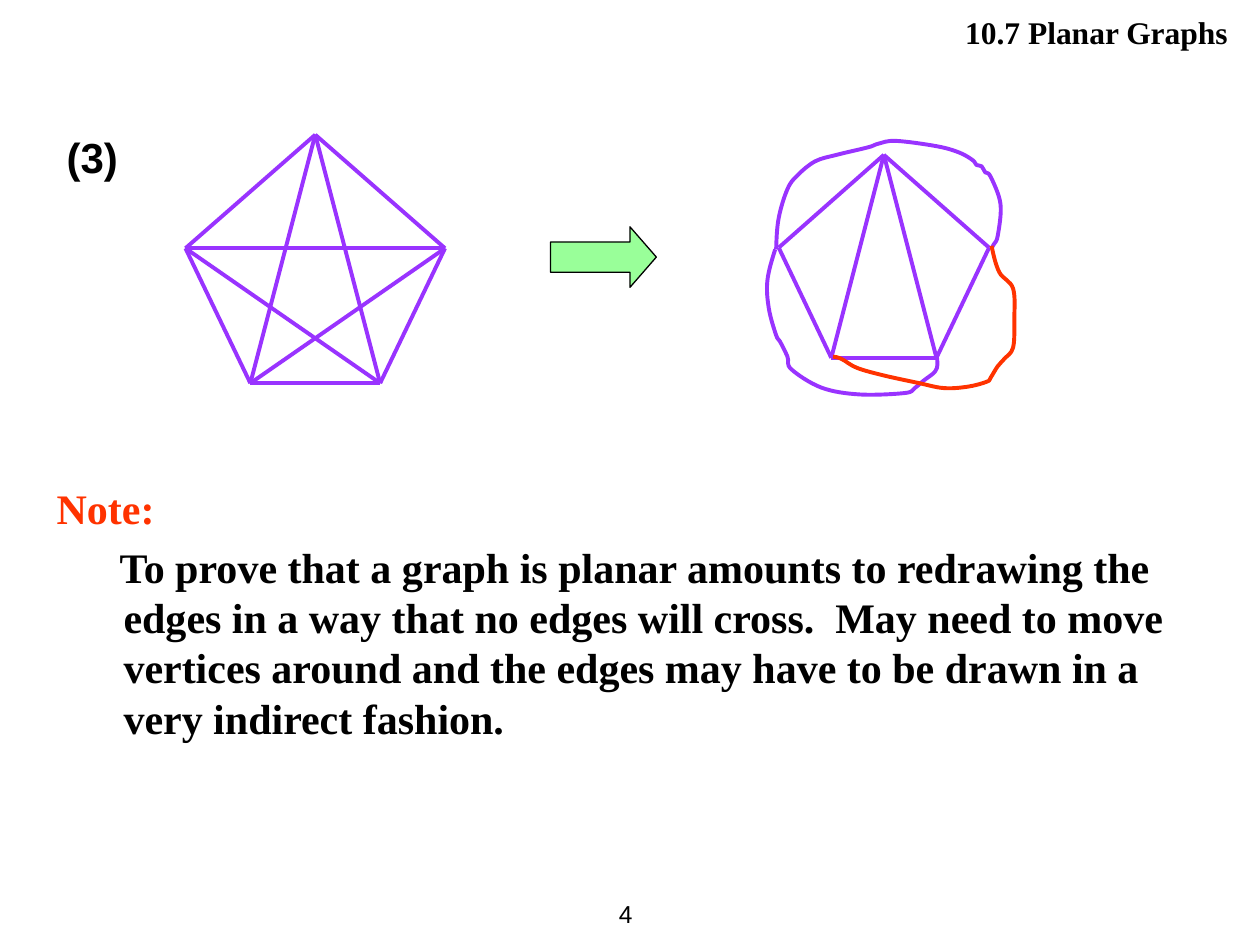
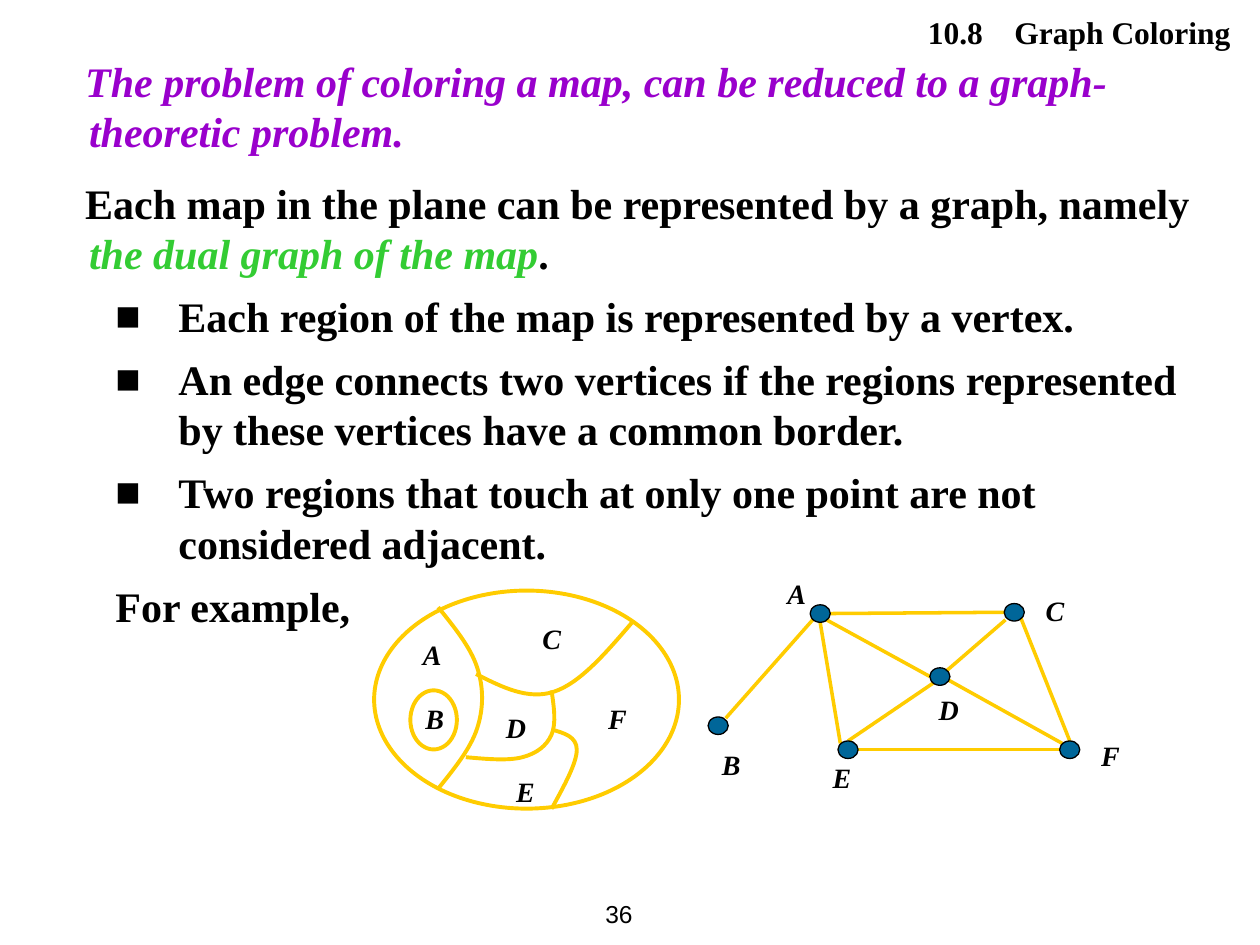
from lxml import etree
from pptx import Presentation
from pptx.dml.color import RGBColor
from pptx.enum import shapes, text
from pptx.oxml.ns import qn
from pptx.util import Pt

HUES = {"ink": "000000", "edge": "9933FF", "red": "FF3300", "mint": "99FF99",
        "plum": "9900CC", "leaf": "33CC33", "gold": "FFCC00", "node": "006699"}
SERIF, SANS = "Times New Roman", "Arial"
LEAD = 1.2
KIND = shapes.MSO_SHAPE
ALIGN = text.PP_ALIGN

SIDE = 0.457
CORNERS = [(0.5, 0), (0, SIDE), (1, SIDE), (0.25, 1), (0.75, 1)]
RIM = [(3, 4), (0, 1), (0, 2), (1, 3), (2, 4), (0, 3), (0, 4)]
CROSS = [(1, 2), (1, 4), (2, 3)]
LOOPS = [
    ("edge", [(-1.5, 54), (0, 36), (5, 19.5), (10.8, 11.6), (20.8, 3.7), (33, 0),
              (51, -4.3), (57, -6.4), (67, -8), (90, -5), (103, -1.4), (110.8, 3),
              (113, 5.8), (115.9, 6.5), (118, 10), (121, 12.3), (126.7, 28),
              (125.2, 46), (123, 51), (121, 54)]),
    ("edge", [(-2, 54), (-6.5, 72), (-5.6, 88), (-1.5, 103), (0.7, 106.6),
              (5, 115.3), (7.2, 122.5), (24.4, 133), (46, 136.9), (72, 136.1),
              (77.7, 133.3), (82.8, 129), (89.2, 124), (90.7, 119.6), (90, 113.8)]),
    ("red", [(31, 115.3), (36, 116.7), (44.6, 121.7), (59.7, 126), (79.9, 130.4),
             (94.3, 133.3), (108, 132.5), (118.8, 129.7), (121, 127.5), (125, 121),
             (128.8, 116.7), (133.9, 110.2), (134.6, 94.4), (133.9, 76.4),
             (126, 67), (121.6, 52)]),
]
BORDERS = [
    [(36.6, 9.5), (58.9, 44), (58.9, 78.7), (36.6, 113.2)],
    [(58.2, 47.7), (102.8, 57.8), (147.4, 18.2)],
    [(52.4, 95.2), (84.8, 95.2), (101.4, 82.3), (101.4, 57)],
    [(101.4, 79.4), (115.8, 91), (101.4, 124.7)],
]
LANDS = {"C": (89.1, 13.9), "A": (20.7, 23.2), "B": (22.2, 60), "D": (68.2, 65),
         "E": (74, 101.7), "F": (126.6, 60)}
NODES = [(80.6, 102.4), (64.7, 24.6), (175.6, 23.9), (207.3, 102.4), (6.4, 88.7),
         (133.1, 60.6)]
NAMES = {"C": (186.4, 9.5), "B": (1.4, 97.4), "D": (125.2, 66.4),
         "E": (64.7, 105.3), "F": (218.1, 92.3), "A": (38.8, 0.2)}
LINKS = [(64.7, 29.7, 76.2, 98.8), (129.5, 64.2, 80.6, 97.4),
         (68.3, 28.2, 127.4, 60.6), (133.1, 59.9, 203, 98.8),
         (207.3, 97.4, 179.2, 26.8), (70.5, 24.6, 169.8, 23.9),
         (74.8, 102.4, 209.4, 102.4), (170.6, 28.2, 133.1, 60.6),
         (60.4, 28.2, 10.7, 84.4)]


def tint(hue):
    """Return the colour of a named hue."""
    return RGBColor.from_string(HUES[hue])


def write(para, runs, size, font=SERIF, bold=True):
    """Add (words, hue, italic) runs to a paragraph."""
    para.line_spacing = Pt(size * LEAD)
    for words, hue, slant in runs:
        run = para.add_run()
        run.text = words
        run.font.name, run.font.size = font, Pt(size)
        run.font.bold, run.font.italic = bold, slant
        run.font.color.rgb = tint(hue)


def indent(para, left, first, mark=None):
    """Set the indents and the bullet of a paragraph."""
    props = para._p.get_or_add_pPr()
    props.set("marL", str(Pt(left)))
    props.set("indent", str(Pt(first)))
    if mark:
        etree.SubElement(props, qn("a:buFont")).set("typeface", SANS)
        etree.SubElement(props, qn("a:buChar")).set("char", mark)


def frame(slide, box):
    """Add a wrapping text box and return its frame."""
    body = slide.shapes.add_textbox(*map(Pt, box)).text_frame
    body.word_wrap = True
    return body


def fill(slide, box, paras):
    """Write paragraphs of (runs, left, first, gap, mark) in a box."""
    body = frame(slide, box)
    for i, (runs, left, first, gap, mark) in enumerate(paras):
        para = body.add_paragraph() if i else body.paragraphs[0]
        indent(para, left, first, mark)
        if i:
            para.space_before = Pt(gap)
        write(para, runs, 24)


def head(slide, words, inset, gap=0):
    """Place the section name at the top right, with a gap after its number."""
    title = slide.shapes.title
    title.left, title.top, title.width, title.height = map(Pt, (286.5, 3.6, 427.7, 28.8))
    body = title.text_frame
    body.word_wrap = True
    body.auto_size = text.MSO_AUTO_SIZE.NONE
    body.vertical_anchor = text.MSO_ANCHOR.TOP
    body.margin_left, body.margin_right = Pt(7.2), Pt(inset)
    body.margin_top = body.margin_bottom = Pt(3.6)
    para = body.paragraphs[0]
    para.alignment = ALIGN.RIGHT
    write(para, [(part, "ink", False) for part in words.partition(" ")], 18)
    if gap:
        para.runs[1]._r.get_or_add_rPr().set("spc", str(int(gap * 100)))


def foot(slide, count):
    """Place the page number."""
    body = frame(slide, (320.4, 504, 48.2, 36))
    body.vertical_anchor = text.MSO_ANCHOR.MIDDLE
    para = body.paragraphs[0]
    para.alignment = ALIGN.RIGHT
    write(para, [(count, "ink", False)], 14, SANS, False)


def edge(slide, start, end, hue, width):
    """Draw a straight line between two points."""
    line = slide.shapes.add_connector(shapes.MSO_CONNECTOR.STRAIGHT,
                                      *map(Pt, (*start, *end)))
    line.line.color.rgb, line.line.width = tint(hue), Pt(width)
    etree.SubElement(line._element.spPr, qn("a:effectLst"))


def dress(shape, hue, width, inner=None):
    """Set the outline and the fill of a shape."""
    shape.shadow.inherit = False
    shape.line.color.rgb, shape.line.width = tint(hue), Pt(width)
    if inner:
        shape.fill.solid()
        shape.fill.fore_color.rgb = tint(inner)
    else:
        shape.fill.background()


def form(slide, kind, box, hue, width, inner=None):
    """Add a preset shape."""
    shape = slide.shapes.add_shape(kind, *map(Pt, box))
    dress(shape, hue, width, inner)
    return shape


def mix(a, b, c, part):
    """Return a point moved by a part of the way from b to c."""
    return tuple(p + (r - q) * part for p, q, r in zip(a, b, c))


def smooth(dots):
    """Return the dots with two control points between each pair."""
    curve, last = [dots[0]], len(dots) - 2
    for i, (b, c) in enumerate(zip(dots, dots[1:])):
        one = mix(b, dots[i - 1], c, 1 / 6) if i else None
        two = mix(c, b, dots[i + 2], -1 / 6) if i < last else mix(c, c, one, 0.5)
        curve += [one or mix(b, b, two, 0.5), two, c]
    return curve


def bend(slide, left, top, dots, hue):
    """Draw a curve through dots given from a corner."""
    dots = [(Pt(left + x), Pt(top + y)) for x, y in smooth(dots)]
    maker = slide.shapes.build_freeform(*dots[0])
    maker.add_line_segments(dots[1:], close=False)
    shape = maker.convert_to_shape()
    lines = list(shape._element.iter(qn("a:lnTo")))
    for trio in zip(*[iter(lines)] * 3):
        cubic = etree.SubElement(trio[0].getparent(), qn("a:cubicBezTo"))
        for line in trio:
            cubic.append(line[0])
            line.getparent().remove(line)
    dress(shape, hue, 2.25)


def label(slide, left, top, spots):
    """Write the letters at spots given from a corner."""
    for name, (x, y) in spots.items():
        body = frame(slide, (left + x, top + y, 21, 26.6))
        body.margin_right = 0
        write(body.paragraphs[0], [(name, "ink", True)], 16)


def star(slide, box, pairs):
    """Draw edges between the corners of a pentagon."""
    left, top, width, height = box
    dots = [(left + x * width, top + y * height) for x, y in CORNERS]
    for a, b in pairs:
        edge(slide, dots[a], dots[b], "edge", 2.25)


def chart(slide, box):
    """Draw the map and its regions."""
    left, top = box[:2]
    form(slide, KIND.OVAL, box, "gold", 2.25)
    form(slide, KIND.OVAL, (left + 20.7, top + 57, 26.6, 33.8), "gold", 2.25)
    for dots in BORDERS:
        bend(slide, left, top, dots, "gold")
    label(slide, left, top, LANDS)


def dual(slide, left, top):
    """Draw the dual graph of the map."""
    wide, high = 11.5, 10
    for ax, ay, bx, by in LINKS:
        edge(slide, (left + ax, top + ay), (left + bx, top + by), "gold", 2)
    for x, y in NODES:
        form(slide, KIND.FLOWCHART_CONNECTOR,
             (left + x - wide / 2, top + y - high / 2, wide, high), "ink", 0.75, "node")
    label(slide, left, top, NAMES)


def planar(slide):
    """Build the slide on planar graphs."""
    head(slide, "10.7 Planar Graphs", 12.5)
    foot(slide, "4")
    star(slide, (106, 77, 148.3, 142), CROSS + RIM)
    left, top = 445, 88.5
    star(slide, (left, top, 120.2, 116), RIM)
    for hue, dots in LOOPS:
        bend(slide, left, top, dots, hue)
    arrow = form(slide, KIND.RIGHT_ARROW, (314.6, 129.6, 60.5, 34.6), "ink", 0.75, "mint")
    arrow.adjustments[1] = 0.435
    fill(slide, (25.3, 272, 652.3, 157), [
        ([("Note:", "red", False)], 0, 0, 0, None),
        ([("To prove that a graph is planar amounts to redrawing the edges in a way "
           "that no edges will cross.  May need to move vertices around and the edges "
           "may have to be drawn in a very indirect fashion.", "ink", False)],
         38.2, -2.2, 4.8, None)])
    body = frame(slide, (31, 71.8, 601, 36))
    write(body.paragraphs[0], [("(3)", "ink", False)], 24, SANS)


def color(slide):
    """Build the slide on graph coloring."""
    head(slide, "10.8 Graph Coloring", 11, 13.5)
    foot(slide, "36")
    points = ["Each region of the map is represented by a vertex.",
              "An edge connects two vertices if the regions represented by these "
              "vertices have a common border.",
              "Two regions that touch at only one point are not considered adjacent."]
    fill(slide, (5.6, 28, 692, 348), [
        ([("The problem of coloring a map, can be reduced to a graph-theoretic problem.",
           "plum", True)], 38.2, -2.2, 0, None),
        ([("Each map in the plane can be represented by a graph, namely ", "ink", False),
          ("the dual graph of the map", "leaf", True), (".", "ink", False)],
         38.2, -2.2, 12, None),
        *[([(point, "ink", False)], 89.3, -36, 7.2, "■") for point in points],
        ([("For example,", "ink", False)], 89.3, -36, 7.2, None)])
    chart(slide, (213.8, 337.5, 174.2, 124.6))
    dual(slide, 404, 326)


def main():
    """Build and save the slides."""
    deck = Presentation()
    deck.slide_width, deck.slide_height = Pt(720), Pt(540)
    for build in (planar, color):
        build(deck.slides.add_slide(deck.slide_layouts[5]))
    deck.save("out.pptx")


if __name__ == "__main__":
    main()
